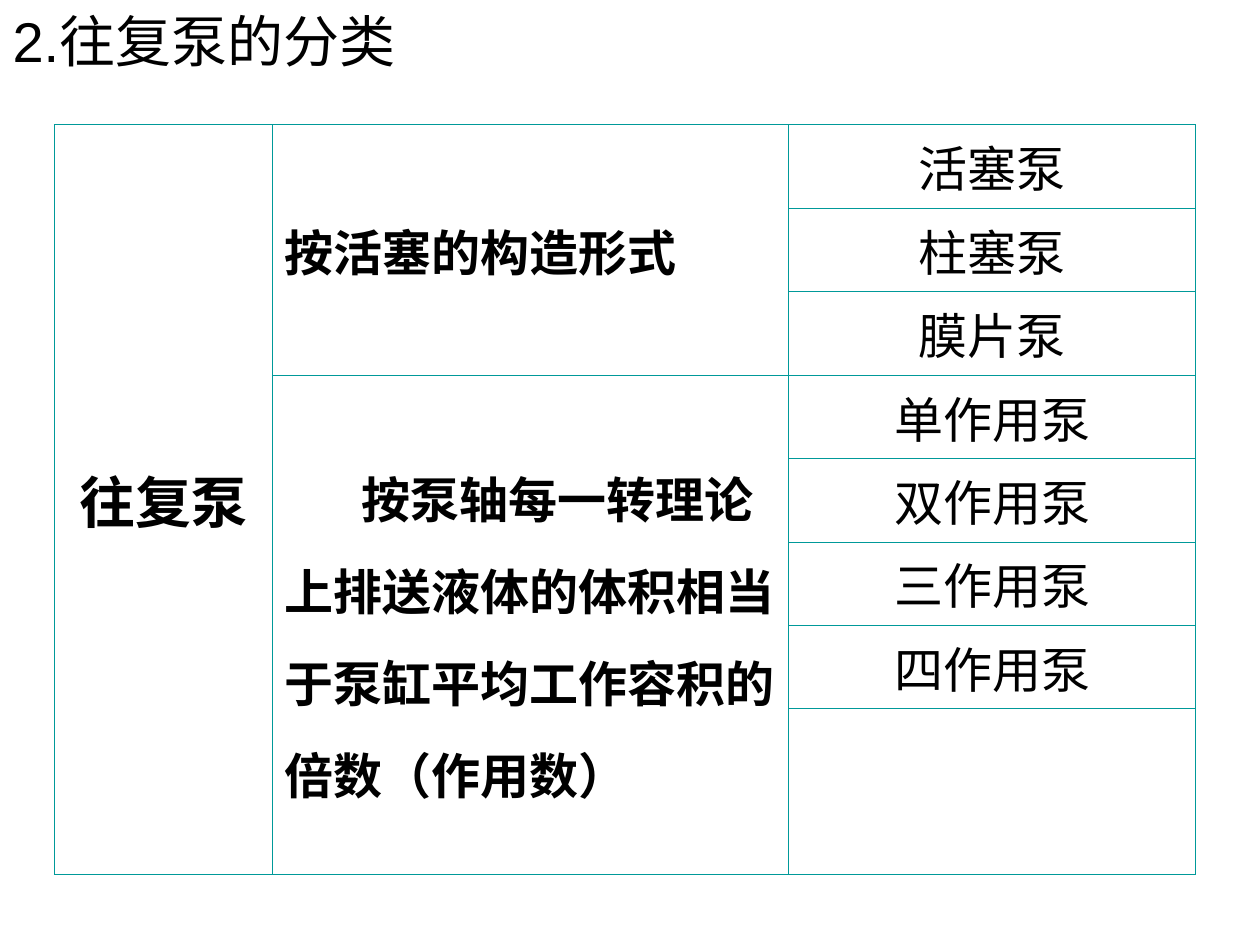
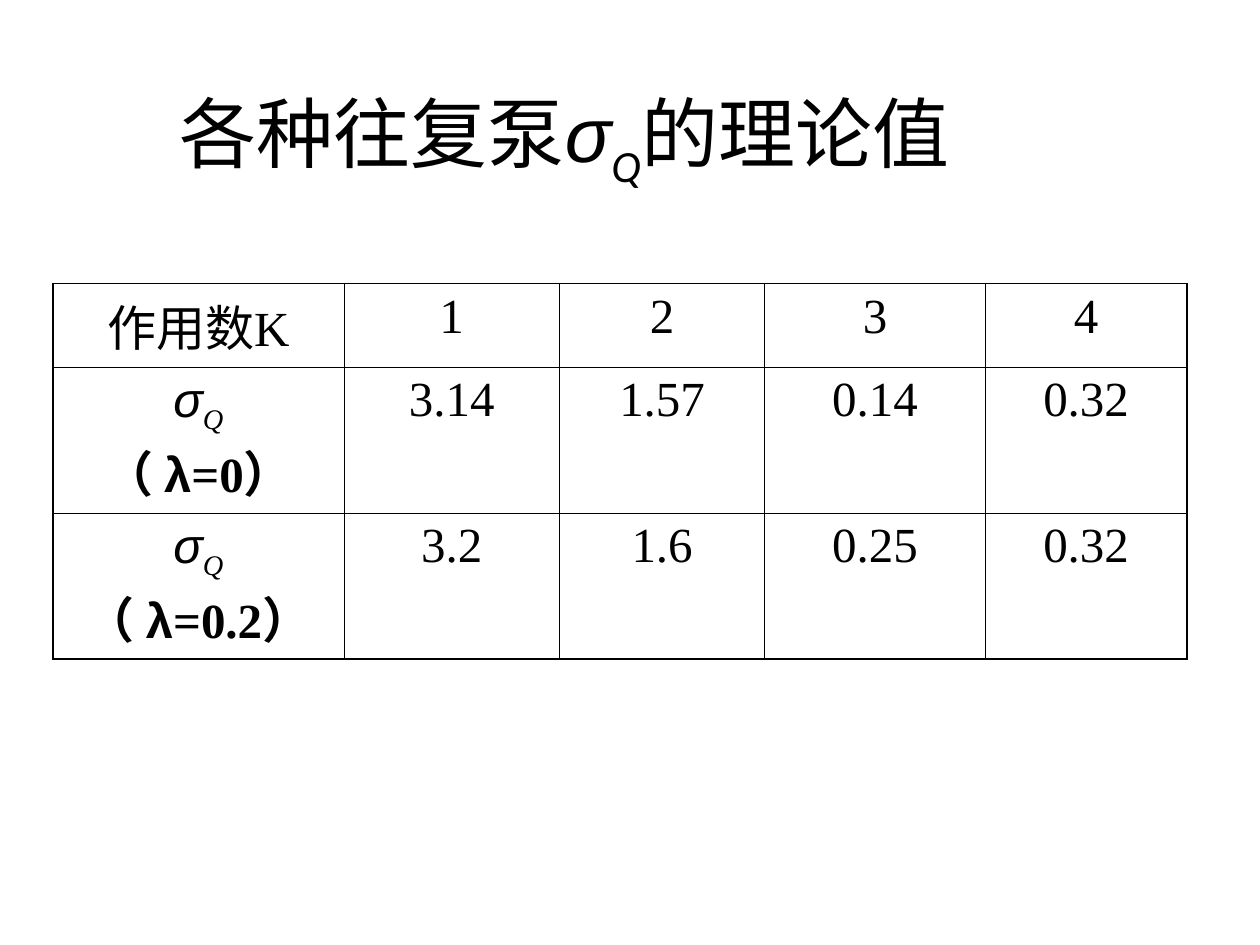
from lxml import etree
from pptx import Presentation
from pptx import util as u
from pptx.dml.color import RGBColor
from pptx.enum import text
from pptx.oxml.ns import qn

COLORS = {"ink": "000000", "teal": "009999"}
SLIDE_W, SLIDE_H = u.Inches(10), u.Inches(7.5)
TITLE_ONLY = 5
THIN, THICK = 0.45, 1.08
SERIF, SANS, TITLE_FONT = "Times New Roman", "Arial", "Calibri"
CENTER, LEFT = text.PP_ALIGN.CENTER, text.PP_ALIGN.LEFT
MIDDLE, TOP = text.MSO_ANCHOR.MIDDLE, text.MSO_ANCHOR.TOP


def across(percent):
    return int(SLIDE_W * percent / 100)


def down(percent):
    return int(SLIDE_H * percent / 100)


def add_run(p, words, size, font, bold=False, italic=False, sub=False):
    r = p.add_run()
    r.text = words
    r.font.size = u.Pt(size)
    r.font.name = font
    r.font.bold = bold
    r.font.italic = italic
    r.font.color.rgb = RGBColor.from_string(COLORS["ink"])
    if sub:
        r.font._element.set("baseline", "-25000")


def add_sigma(p, size, sub_font):
    add_run(p, "σ", size, SANS, italic=True)
    add_run(p, "Q", size, sub_font, italic=True, sub=True)


def add_title(slide, left, top, width, height, align):
    sp = slide.shapes.title
    sp.left, sp.top = across(left), down(top)
    sp.width, sp.height = across(width), down(height)
    tf = sp.text_frame
    tf.word_wrap = True
    tf.auto_size = text.MSO_AUTO_SIZE.NONE
    tf.vertical_anchor = MIDDLE
    p = tf.paragraphs[0]
    p.alignment = align
    return p


def set_borders(cell, color, widths):
    tcPr = cell._tc.get_or_add_tcPr()
    for side, width in zip(("lnL", "lnR", "lnT", "lnB"), widths):
        ln = etree.SubElement(tcPr, qn("a:" + side), w=str(int(u.Pt(width))))
        fill = etree.SubElement(ln, qn("a:solidFill"))
        etree.SubElement(fill, qn("a:srgbClr"), val=color)


def add_table(slide, left, top, cols, rows, color, outer):
    frame = slide.shapes.add_table(
        len(rows), len(cols), across(left), down(top),
        across(sum(cols)), down(sum(rows)))
    table = frame.table
    table.first_row = table.horz_banding = False
    for column, share in zip(table.columns, cols):
        column.width = across(share)
    for row, share in zip(table.rows, rows):
        row.height = down(share)
    last_row, last_col = len(rows) - 1, len(cols) - 1
    for i in range(len(rows)):
        for j in range(len(cols)):
            cell = table.cell(i, j)
            edges = (j == 0, j == last_col, i == 0, i == last_row)
            set_borders(cell, color, [outer if edge else THIN for edge in edges])
            cell.fill.background()
    return table


def cell_paragraph(cell, align=CENTER, anchor=MIDDLE):
    cell.vertical_anchor = anchor
    p = cell.text_frame.paragraphs[0]
    p.alignment = align
    return p


def add_classification(prs):
    slide = prs.slides.add_slide(prs.slide_layouts[TITLE_ONLY])
    add_run(add_title(slide, 0, 0, 39.8, 8.5, LEFT), "2.往复泵的分类", 32, SANS)

    table = add_table(slide, 4.3, 13.2, (17.3, 41, 32.3),
                      [8.3] * 7 + [17.5], COLORS["teal"], THIN)
    for first, last, col in ((0, 7, 0), (0, 2, 1), (3, 7, 1)):
        table.cell(first, col).merge(table.cell(last, col))

    add_run(cell_paragraph(table.cell(0, 0)), "往复泵", 32, "Roboto", bold=True)
    add_run(cell_paragraph(table.cell(0, 1), LEFT), "按活塞的构造形式",
            28, SERIF, bold=True)
    p = cell_paragraph(table.cell(3, 1), LEFT)
    p.line_spacing = 1.3
    p._p.get_or_add_pPr().set("indent", str(across(6.1)))
    add_run(p, "按泵轴每一转理论上排送液体的体积相当于泵缸平均工作容积的倍数（作用数）",
            28, SERIF, bold=True)

    pumps = ("活塞泵", "柱塞泵", "膜片泵", "单作用泵", "双作用泵", "三作用泵", "四作用泵")
    for i, pump in enumerate(pumps):
        add_run(cell_paragraph(table.cell(i, 2)), pump, 28, SANS)


def add_theoretical_values(prs):
    slide = prs.slides.add_slide(prs.slide_layouts[TITLE_ONLY])
    p = add_title(slide, 0, 8, 89.6, 13.3, CENTER)
    add_run(p, "各种往复泵", 44, TITLE_FONT)
    add_sigma(p, 44, TITLE_FONT)
    add_run(p, "的理论值", 44, TITLE_FONT)

    table = add_table(slide, 4.2, 30, (23.1, 17.1, 16.3, 17.5, 16),
                      (7.6, 14.7, 14.7), COLORS["ink"], THICK)
    add_run(cell_paragraph(table.cell(0, 0), anchor=TOP), "作用数K", 28, SERIF)
    for i, ratio in enumerate(("0", "0.2"), 1):
        p = cell_paragraph(table.cell(i, 0), anchor=TOP)
        add_sigma(p, 28, SERIF)
        p.add_line_break()
        add_run(p, "（ ", 28, SERIF, bold=True)
        add_run(p, "λ", 28, SANS, bold=True)
        add_run(p, f"={ratio}）", 28, SERIF, bold=True)

    values = (("1", "2", "3", "4"),
              ("3.14", "1.57", "0.14", "0.32"),
              ("3.2", "1.6", "0.25", "0.32"))
    for i, row in enumerate(values):
        for j, value in enumerate(row, 1):
            add_run(cell_paragraph(table.cell(i, j), anchor=TOP), value, 28, SERIF)


def main():
    prs = Presentation()
    prs.slide_width, prs.slide_height = SLIDE_W, SLIDE_H
    add_classification(prs)
    add_theoretical_values(prs)
    prs.save("out.pptx")


if __name__ == "__main__":
    main()
